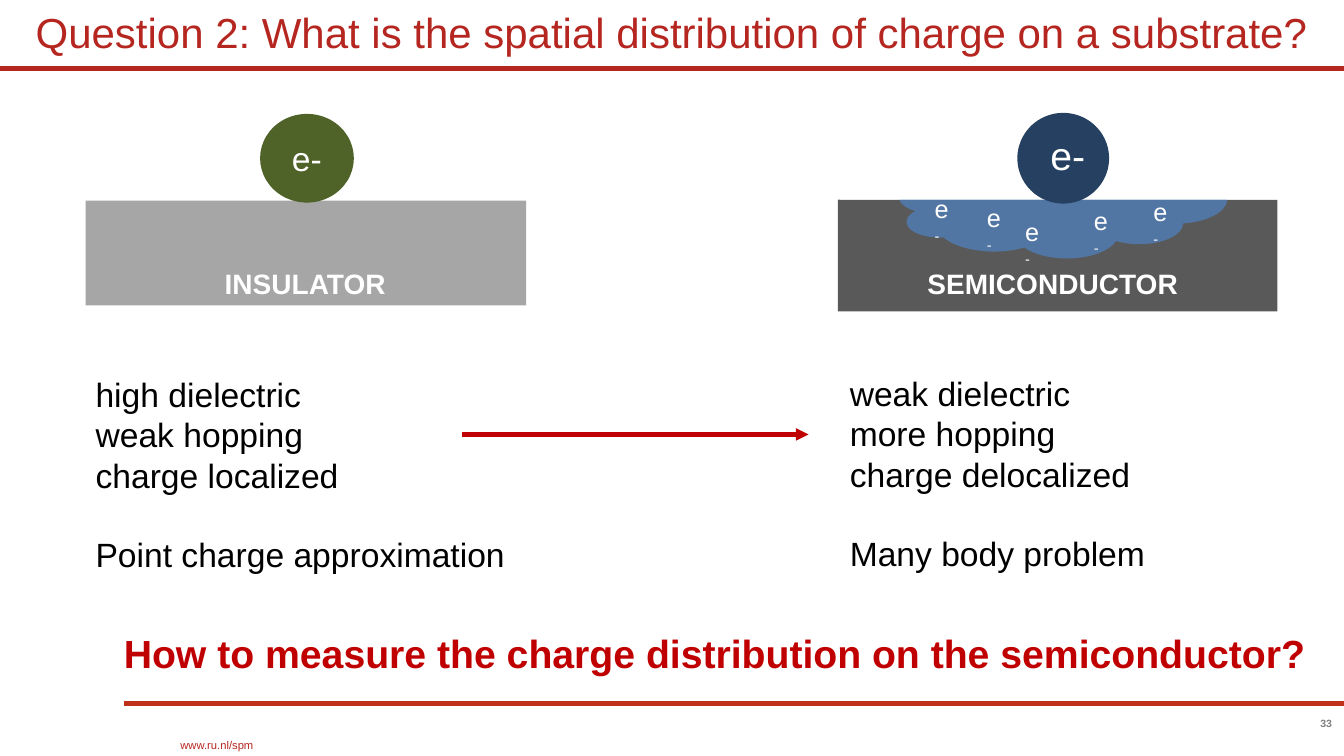
import pptx
import pptx.util
import pptx.dml.color
import pptx.enum.shapes
import pptx.enum.text
import pptx.oxml
import pptx.oxml.ns

Inches, Pt = pptx.util.Inches, pptx.util.Pt
RGBColor = pptx.dml.color.RGBColor
SHAPE = pptx.enum.shapes.MSO_SHAPE
ALIGN = pptx.enum.text.PP_ALIGN
ANCHOR = pptx.enum.text.MSO_ANCHOR

RED = RGBColor(0xB6, 0x26, 0x20)
FOOTER_RED = RGBColor(0xBE, 0x30, 0x1A)
ACCENT_RED = RGBColor(0xC0, 0x00, 0x00)
BLACK = RGBColor(0x00, 0x00, 0x00)
WHITE = RGBColor(0xFF, 0xFF, 0xFF)
GREY = RGBColor(0x80, 0x80, 0x80)
LIGHT_GREY = RGBColor(0xA6, 0xA6, 0xA6)
DARK_GREY = RGBColor(0x59, 0x59, 0x59)
GREEN = RGBColor(0x4F, 0x62, 0x28)
NAVY = RGBColor(0x25, 0x40, 0x61)
BLUE = RGBColor(0x4F, 0x81, 0xBD)

# Content
TITLE = "Question 2: What is the spatial distribution of charge on a substrate?"
PROPERTIES = [
    ((0.85, 3.66, 4.3, 2.12),
     ["high dielectric", "weak hopping", "charge localized", "Point charge approximation"]),
    ((8.33, 3.65, 3.16, 2.12),
     ["weak dielectric", "more hopping", "charge delocalized", "Many body problem"]),
]
# box, text, size, colour, bold
LABELS = [
    ((10.32, 1.25, 0.55, 0.57), "e-", 28, WHITE, False),
    ((9.1, 2.59, 2.71, 0.44), "SEMICONDUCTOR", 20, WHITE, True),
    ((2.13, 2.59, 1.82, 0.44), "INSULATOR", 20, WHITE, True),
    ((1.13, 6.19, 12.06, 0.57),
     "How to measure the charge distribution on the semiconductor?", 28, ACCENT_RED, True),
    ((1.69, 7.28, 3.85, 0.24), "www.ru.nl/spm", 8, RED, False),
]
SPREAD_ELECTRONS = [(9.17, 1.87), (9.69, 1.96), (10.07, 2.1), (10.75, 1.99), (11.34, 1.9)]

presentation = pptx.Presentation()
presentation.slide_width, presentation.slide_height = Inches(13.33), Inches(7.5)
slide = presentation.slides.add_slide(presentation.slide_layouts[5])


def style(paragraph, size, color, bold=False):
    for run in paragraph.runs:
        run.font.name, run.font.size = "Arial", Pt(size)
        run.font.bold, run.font.color.rgb = bold, color


def add_text(box, lines, size, color, bold=False, wrap=False):
    shape = slide.shapes.add_textbox(*map(Inches, box))
    shape.text_frame.word_wrap = wrap
    shape.text_frame.text = "\n".join(lines)
    for paragraph in shape.text_frame.paragraphs:
        style(paragraph, size, color, bold)
    return shape


def add_filled(kind, box, color):
    shape = slide.shapes.add_shape(kind, *map(Inches, box))
    shape.shadow.inherit = False
    shape.fill.solid()
    shape.fill.fore_color.rgb = color
    shape.line.fill.background()
    return shape


def add_rule(left, right, top, color):
    line = slide.shapes.add_connector(
        pptx.enum.shapes.MSO_CONNECTOR.STRAIGHT,
        Inches(left), Inches(top), Inches(right), Inches(top))
    line.line.color.rgb, line.line.width = color, Pt(3)
    properties = line.element.spPr
    properties.append(pptx.oxml.parse_xml(
        "<a:effectLst %s/>" % pptx.oxml.ns.nsdecls("a")))
    return line


# Title and rules
add_rule(1.23, 13.33, 6.98, FOOTER_RED)
add_rule(0, 13.33, 0.68, RED)
title = slide.shapes.title
title.left, title.top, title.width, title.height = map(Inches, (0.07, 0, 13.19, 0.63))
title.text_frame.text = TITLE
title.text_frame.word_wrap = True
title.text_frame.auto_size = pptx.enum.text.MSO_AUTO_SIZE.NONE
title.text_frame.vertical_anchor = ANCHOR.MIDDLE
title.text_frame.paragraphs[0].alignment = ALIGN.CENTER
style(title.text_frame.paragraphs[0], 30, RED)

# Property lists, with the conclusion set one line apart
for box, lines in PROPERTIES:
    shape = add_text(box, lines, 24, BLACK)
    shape.text_frame.paragraphs[-1].space_before = Pt(27.6)

# Arrow from insulator to semiconductor
arrow = add_rule(4.58, 8.02, 4.31, ACCENT_RED)
arrow.line._get_or_add_ln().append(pptx.oxml.parse_xml(
    '<a:tailEnd %s type="triangle"/>' % pptx.oxml.ns.nsdecls("a")))

# Insulator with a localized charge
add_filled(SHAPE.RECTANGLE, (0.85, 1.99, 4.37, 1.04), LIGHT_GREY)
electron = add_filled(SHAPE.OVAL, (2.58, 1.13, 0.93, 0.88), GREEN)
electron.text_frame.text = "e-"
electron.text_frame.vertical_anchor = ANCHOR.MIDDLE
electron.text_frame.paragraphs[0].alignment = ALIGN.CENTER
style(electron.text_frame.paragraphs[0], 24, WHITE)

# Semiconductor with a charge cloud, its upper half masked
add_filled(SHAPE.RECTANGLE, (8.31, 1.98, 4.36, 1.11), DARK_GREY)
cloud = add_filled(SHAPE.CLOUD, (8.92, 1.42, 3.25, 1.14), BLUE)
cloud_color = cloud.element.spPr.find(".//" + pptx.oxml.ns.qn("a:srgbClr"))
cloud_color.append(pptx.oxml.parse_xml(
    '<a:alpha %s val="75000"/>' % pptx.oxml.ns.nsdecls("a")))
add_filled(SHAPE.RECTANGLE, (8.33, 1.1, 4.36, 0.88), WHITE)
for left, top in SPREAD_ELECTRONS:
    shape = add_text((left, top, 0.38, 0.4), ["e"], 18, WHITE, wrap=True)
    paragraph = shape.text_frame.paragraphs[0]
    charge = paragraph.add_run()
    charge.text = "-"
    style(paragraph, 18, WHITE)
    charge.font._element.set("baseline", "30000")
add_filled(SHAPE.OVAL, (10.09, 1.12, 0.91, 0.9), NAVY)

# Labels, closing question, footer and slide number
for box, text, size, color, bold in LABELS:
    add_text(box, [text], size, color, bold)
number = add_text((11.81, 7.06, 1.5, 0.44), ["33"], 7.5, GREY, True, wrap=True)
number.text_frame.paragraphs[0].alignment = ALIGN.RIGHT

presentation.save("out.pptx")
